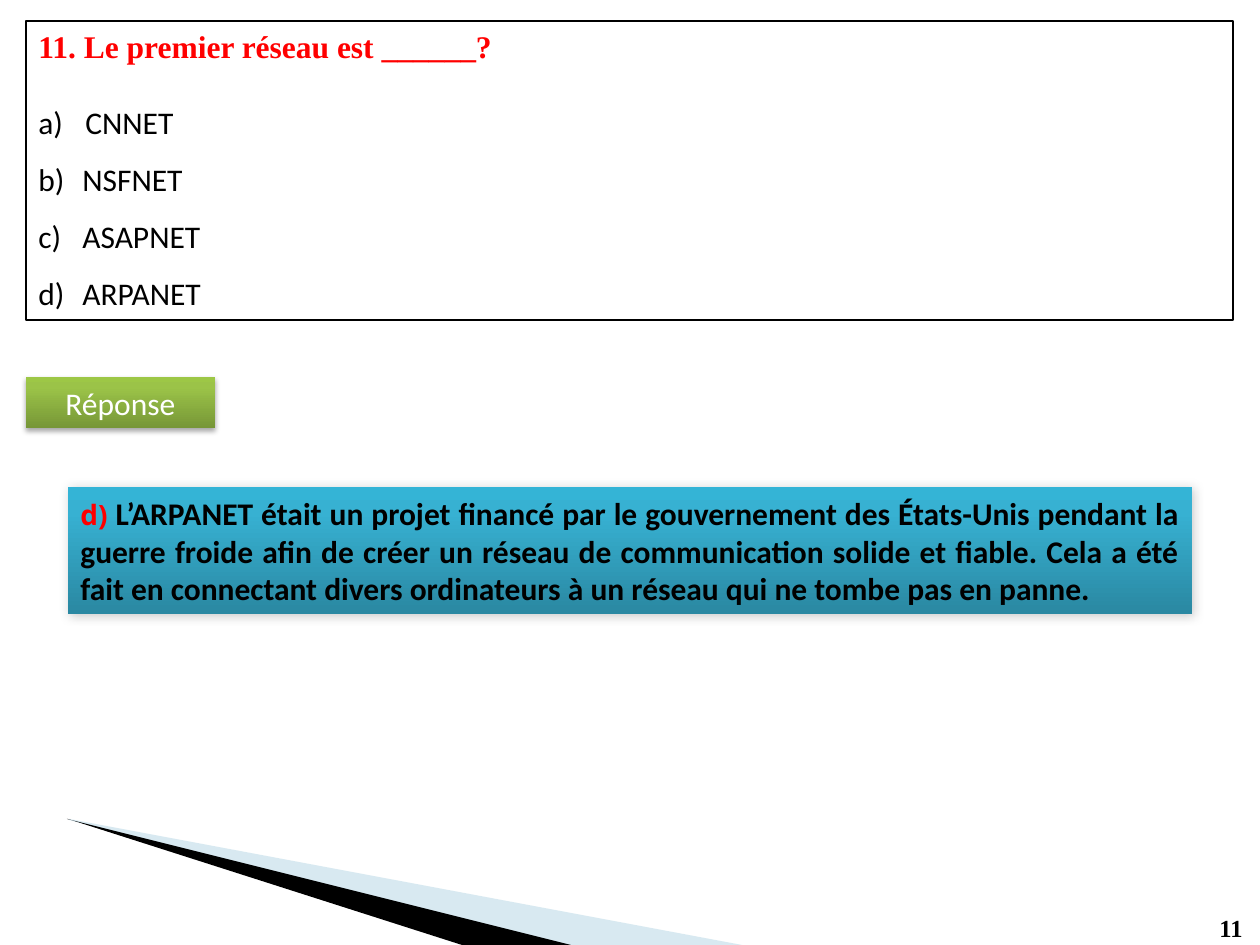
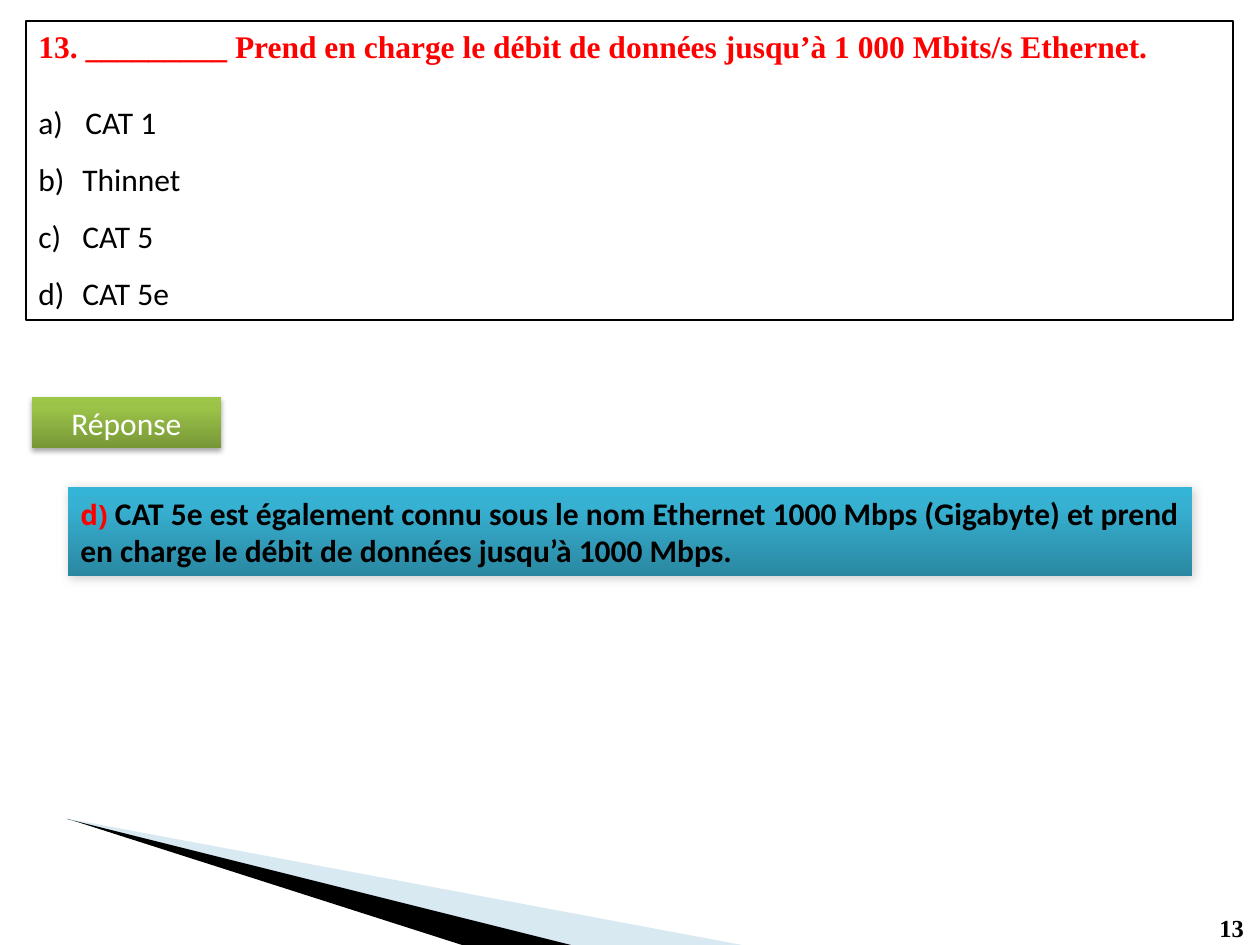
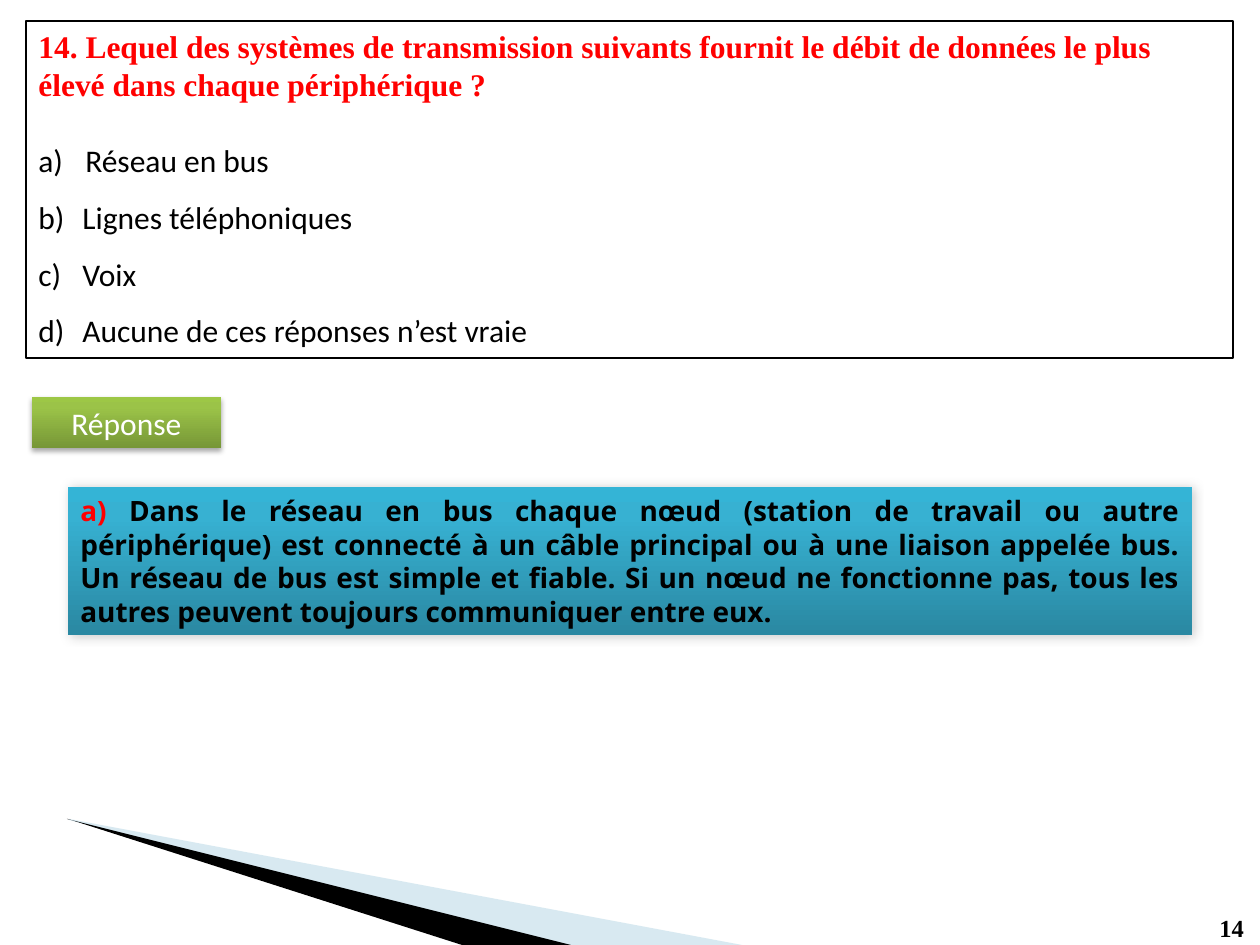
from lxml import etree
from pptx import Presentation, util as u
from pptx.dml.color import RGBColor
from pptx.enum import shapes, text
from pptx.oxml import parse_xml
from pptx.oxml.ns import nsdecls, qn

HUES = {"black": "000000", "white": "FFFFFF", "red": "FF0000", "ice": "9FCADC"}
GREEN = ("779737", "9BC348", "9DC746")
BLUE = ("2A88A2", "37B1D2", "34B4D6")
SERIF, SANS, OPEN = "Times New Roman", "Calibri", "Open Sans"
SCALE = 914400 / 126

QUIZ = [
    {
        "num": 11, "ask": "Le premier réseau est ______?",
        "picks": ["CNNET", "NSFNET", "ASAPNET", "ARPANET"],
        "tall": 299, "tab": (26, 377), "key": "d) ", "font": (SANS, 18), "deep": 127,
        "why": "L’ARPANET était un projet financé par le gouvernement des États-Unis "
               "pendant la guerre froide afin de créer un réseau de communication solide "
               "et fiable. Cela a été fait en connectant divers ordinateurs à un réseau "
               "qui ne tombe pas en panne.",
    },
    {
        "num": 13,
        "ask": "_________ Prend en charge le débit de données jusqu’à 1 000 Mbits/s Ethernet.",
        "picks": ["CAT 1", "Thinnet", "CAT 5", "CAT 5e"],
        "tall": 299, "tab": (32, 397), "key": "d) ", "font": (SANS, 18), "deep": 89,
        "why": "CAT 5e est également connu sous le nom Ethernet 1000 Mbps (Gigabyte) "
               "et prend en charge le débit de données jusqu’à 1000 Mbps.",
    },
    {
        "num": 14,
        "ask": "Lequel des systèmes de transmission suivants fournit le débit de données "
               "le plus élevé dans chaque périphérique ?",
        "picks": ["Réseau en bus", "Lignes téléphoniques", "Voix",
                  "Aucune de ces réponses n’est vraie"],
        "tall": 337, "tab": (32, 397), "key": "a) ", "font": (OPEN, 16), "deep": 148,
        "why": "Dans le réseau en bus chaque nœud (station de travail ou autre "
               "périphérique) est connecté à un câble principal ou à une liaison appelée "
               "bus. Un réseau de bus est simple et fiable. Si un nœud ne fonctionne pas, "
               "tous les autres peuvent toujours communiquer entre eux.",
    },
]


def style(font, face, size, hue, bold=False):
    font.name, font.size, font.bold = face, u.Pt(size), bold
    font.color.rgb = RGBColor.from_string(HUES[hue])


def panel(slide, area, tones=None, shade=None):
    """Add a rectangle: outlined, or with a rising gradient and a shadow."""
    box = slide.shapes.add_shape(shapes.MSO_SHAPE.RECTANGLE,
                                 *(round(n * SCALE) for n in area))
    box.shadow.inherit = False
    box.fill.background()
    if not tones:
        box.line.color.rgb = RGBColor.from_string(HUES["black"])
        box.line.width = u.Pt(0.75)
        return box
    box.line.fill.background()
    props = box.element.spPr
    stops = "".join(f'<a:gs pos="{pos}000"><a:srgbClr val="{tone}"/></a:gs>'
                    for pos, tone in zip((0, 80, 100), tones))
    props.replace(props.find(qn("a:noFill")), parse_xml(
        f'<a:gradFill {nsdecls("a")}><a:gsLst>{stops}</a:gsLst>'
        '<a:lin ang="16200000" scaled="0"/></a:gradFill>'))
    alpha, blur, dist, turn = shade
    props.find(qn("a:effectLst")).append(parse_xml(
        f'<a:outerShdw {nsdecls("a")} blurRad="{u.Pt(blur)}" dist="{u.Pt(dist)}" '
        f'dir="{turn * 60000}" rotWithShape="0"><a:srgbClr val="{HUES["black"]}">'
        f'<a:alpha val="{alpha}000"/></a:srgbClr></a:outerShdw>'))
    return box


deck = Presentation()
deck.slide_width, deck.slide_height = u.Inches(10), u.Inches(7.5)
blank = deck.slide_layouts[6]
for spare in list(blank.placeholders):
    spare.element.getparent().remove(spare.element)

for item in QUIZ:
    slide = deck.slides.add_slide(blank)

    # Corner wedges, drawn once and kept on the layout
    if item is QUIZ[0]:
        for hue, alpha, points in (
            ("ice", 40, [(69, 819), (69, 820), (568, 945), (742, 945)]),
            ("black", 100, [(67, 819), (68, 819), (462, 945), (571, 945)]),
        ):
            pen = slide.shapes.build_freeform(*points[0], scale=SCALE)
            pen.add_line_segments(points[1:])
            wedge = pen.convert_to_shape()
            wedge.shadow.inherit = False
            wedge.line.fill.background()
            wedge.fill.solid()
            wedge.fill.fore_color.rgb = RGBColor.from_string(HUES[hue])
            tint = wedge.element.spPr.find(qn("a:solidFill"))[0]
            etree.SubElement(tint, qn("a:alpha")).set("val", f"{alpha}000")
            blank.shapes.element.append(wedge.element)

    # Slide number
    page = slide.shapes.add_textbox(*(round(n * SCALE) for n in (1207, 907, 50, 43)))
    line = page.text_frame.paragraphs[0]
    line.text = str(item["num"])
    style(line.font, SERIF, 14, "black", True)

    # Question and choices
    frame = panel(slide, (26, 21, 1207, item["tall"])).text_frame
    frame.vertical_anchor = text.MSO_ANCHOR.TOP
    line = frame.paragraphs[0]
    line.text = f'{item["num"]}. {item["ask"]}'
    line.alignment = text.PP_ALIGN.LEFT
    style(line.font, SERIF, 18, "red", True)
    for i, pick in enumerate(item["picks"]):
        line = frame.add_paragraph()
        line.text = pick
        line.alignment = text.PP_ALIGN.LEFT
        if i:
            line.line_spacing = 1.5
        else:
            line.space_before = u.Pt(22)
        props = line._p.get_or_add_pPr()
        props.set("marL", str(round((44 if i else 47) * SCALE)))
        props.set("indent", str(round(-47 * SCALE)))
        etree.SubElement(props, qn("a:buAutoNum")).set("type", "alphaLcParenR")
        style(line.font, SANS, 18, "black")

    # Answer tab
    line = panel(slide, (*item["tab"], 189, 51), GREEN,
                 (35, 3.1, 1.8, 90)).text_frame.paragraphs[0]
    line.text = "Réponse"
    line.alignment = text.PP_ALIGN.CENTER
    style(line.font, SANS, 18, "white")

    # Answer
    line = panel(slide, (68, 487, 1124, item["deep"]), BLUE,
                 (20, 6, 1, 45)).text_frame.paragraphs[0]
    line.alignment = text.PP_ALIGN.JUSTIFY
    for words, face, size, hue in ((item["key"], OPEN, 16, "red"),
                                   (item["why"], *item["font"], "black")):
        run = line.add_run()
        run.text = words
        style(run.font, face, size, hue, True)

deck.save("out.pptx")
